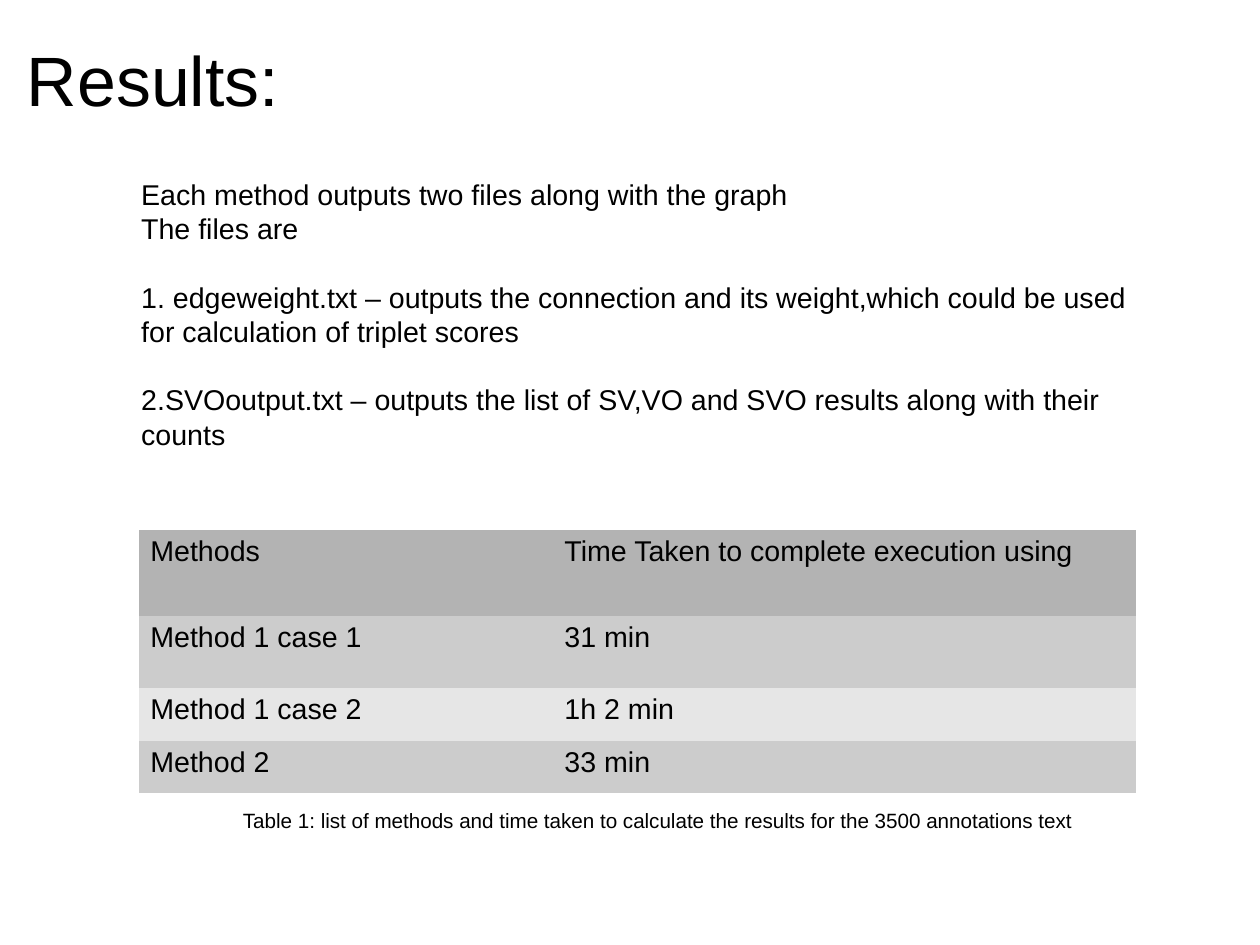
from pptx import Presentation
from pptx.dml.color import RGBColor
from pptx.enum.text import MSO_ANCHOR, PP_ALIGN
from pptx.oxml.ns import qn
from pptx.util import Pt

PX = 8000
BLACK = RGBColor(0x00, 0x00, 0x00)
HEADER_GREY = RGBColor(0xB3, 0xB3, 0xB3)
BAND_GREYS = [RGBColor(0xCC, 0xCC, 0xCC), RGBColor(0xE6, 0xE6, 0xE6)]
PLAIN_TABLE_STYLE = "{2D5ABB26-0587-4C30-8999-92F81FD0307C}"
LEFT, CENTER = PP_ALIGN.LEFT, PP_ALIGN.CENTER
TOP, MIDDLE = MSO_ANCHOR.TOP, MSO_ANCHOR.MIDDLE


class SlideBuilder:
    def __init__(self, slide, font_name, color):
        self.slide = slide
        self.font_name = font_name
        self.color = color

    def box(self, *lengths):
        return [length * PX for length in lengths]

    def style(self, paragraph, size):
        paragraph.font.name = self.font_name
        paragraph.font.size = Pt(size)
        paragraph.font.color.rgb = self.color

    def text(self, bounds, lines, size, align=LEFT, anchor=TOP, inset=None):
        frame = self.slide.shapes.add_textbox(*self.box(*bounds)).text_frame
        frame.word_wrap = True
        frame.vertical_anchor = anchor
        if inset is not None:
            frame.margin_left = frame.margin_right = inset * PX
            frame.margin_top = frame.margin_bottom = inset * PX
        frame.text = "\n".join(lines)
        for paragraph in frame.paragraphs:
            paragraph.alignment = align
            self.style(paragraph, size)
        return frame.paragraphs

    def table(self, left, top, widths, heights, rows, size):
        bounds = self.box(left, top, sum(widths), sum(heights))
        table = self.slide.shapes.add_table(len(rows), len(widths), *bounds).table
        table.first_row = table.horz_banding = False
        table._tbl.tblPr.find(qn("a:tableStyleId")).text = PLAIN_TABLE_STYLE
        for column, width in zip(table.columns, widths):
            column.width = width * PX
        for index, (row, height, values) in enumerate(zip(table.rows, heights, rows)):
            row.height = height * PX
            fill = BAND_GREYS[(index - 1) % 2] if index else HEADER_GREY
            for cell, value in zip(row.cells, values):
                cell.text = value
                cell.fill.solid()
                cell.fill.fore_color.rgb = fill
                self.style(cell.text_frame.paragraphs[0], size)


def main():
    deck = Presentation()
    deck.slide_width, deck.slide_height = 1260 * PX, 945 * PX
    results = SlideBuilder(deck.slides.add_slide(deck.slide_layouts[6]), "Arial", BLACK)

    results.text((27, 23, 1197, 111), ["Results:"], 44, anchor=MIDDLE, inset=0)

    line_pitch = Pt(21.6)
    output_files = results.text((130, 171, 1017, 267), [
        "Each method outputs two files along with the graph",
        "The files are",
        "1. edgeweight.txt – outputs the connection and its weight,which could be used "
        "for calculation of triplet scores",
        "2.SVOoutput.txt – outputs the list of SV,VO and SVO results along with their counts",
    ], 18)
    for paragraph in output_files:
        paragraph.line_spacing = line_pitch
    for file_entry in output_files[2:]:
        file_entry.space_before = line_pitch

    results.table(139, 530, [414, 583], [86, 72, 53, 52], [
        ("Methods", "Time Taken to complete execution using"),
        ("Method 1 case 1", "31 min"),
        ("Method 1 case 2", "1h 2 min"),
        ("Method 2", "33 min"),
    ], 18)

    results.text((137, 802, 1040, 34), [
        "Table 1: list of methods and time taken to calculate the results "
        "for the 3500 annotations text",
    ], 13, align=CENTER)

    deck.save("out.pptx")


if __name__ == "__main__":
    main()
